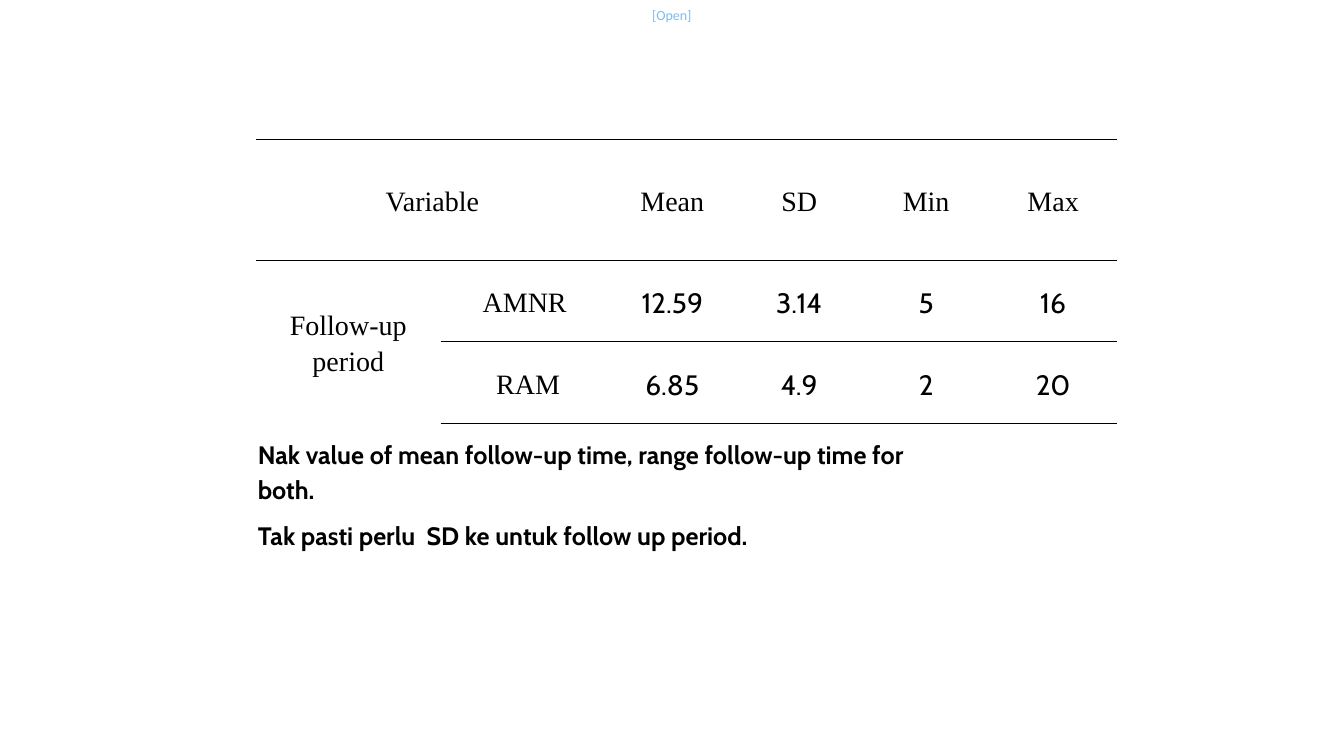
from dataclasses import dataclass

from lxml.etree import SubElement
from pptx import Presentation
from pptx.dml.color import RGBColor
from pptx.enum.text import MSO_ANCHOR, PP_ALIGN
from pptx.oxml.ns import qn
from pptx.slide import Slide
from pptx.table import Table, _Cell
from pptx.text.text import TextFrame
from pptx.util import Pt

BLACK = RGBColor(0x00, 0x00, 0x00)
WHITE = RGBColor(0xFF, 0xFF, 0xFF)
LABEL_BLUE = RGBColor(0x00, 0x78, 0xD7)
SERIF = "Times New Roman"
SANS = "Cabin"
PLAIN_TABLE_STYLE = "{2D5ABB26-0587-4C30-8999-92F81FD0307C}"

COLUMN_WIDTHS = [131.8, 120.2] + [90.7] * 4
ROW_HEIGHTS = [86.4, 58.3, 58.3]
ROWS = [
    ["Variable", "", "Mean", "SD", "Min", "Max"],
    ["Follow-up period", "AMNR", "12.59", "3.14", "5", "16"],
    ["", " RAM", "6.85", "4.9", "2", "20"],
]
ROW_BORDERS = [("a:lnT", "a:lnB"), ("a:lnT",), ("a:lnB",)]
NOTES = [
    "Nak value of mean follow-up time, range follow-up time for both.",
    "Tak pasti perlu  SD ke untuk follow up period.",
]


@dataclass(frozen=True)
class TextStyle:
    font: str
    size: float
    color: RGBColor = BLACK
    bold: bool = False
    align: PP_ALIGN = PP_ALIGN.LEFT
    line_spacing: float = 1.15
    space_after: float = 8


LABEL_STYLE = TextStyle("Calibri", 10, LABEL_BLUE, line_spacing=1, space_after=0)
HEADING_STYLE = TextStyle(SERIF, 20, align=PP_ALIGN.CENTER)
VALUE_STYLE = TextStyle(SANS, 20, align=PP_ALIGN.CENTER, space_after=0)
NOTE_STYLE = TextStyle(SANS, 18, bold=True)


def write_text(text_frame: TextFrame, text: str, style: TextStyle) -> None:
    text_frame.text = text
    for paragraph in text_frame.paragraphs:
        paragraph.alignment = style.align
        paragraph.line_spacing = style.line_spacing
        paragraph.space_after = Pt(style.space_after)
        for run in paragraph.runs:
            run.font.name = style.font
            run.font.size = Pt(style.size)
            run.font.bold = style.bold
            run.font.color.rgb = style.color


def add_border(cell: _Cell, side: str) -> None:
    properties = cell._tc.get_or_add_tcPr()
    line = SubElement(properties, qn(side), w=str(Pt(1)))
    fill = SubElement(line, qn("a:solidFill"))
    SubElement(fill, qn("a:srgbClr"), val=str(BLACK))


def format_cell(table: Table, row: int, column: int) -> None:
    cell = table.cell(row, column)
    cell.vertical_anchor = MSO_ANCHOR.MIDDLE
    cell.margin_left = cell.margin_right = Pt(5)
    cell.margin_top = cell.margin_bottom = Pt(0)
    for side in ROW_BORDERS[row]:
        add_border(cell, side)
    if row > 0 and column == 1:
        cell.fill.solid()
        cell.fill.fore_color.rgb = WHITE
    else:
        cell.fill.background()
    if not cell.is_spanned:
        style = VALUE_STYLE if row > 0 and column > 1 else HEADING_STYLE
        write_text(cell.text_frame, ROWS[row][column], style)


def add_follow_up_table(slide: Slide) -> None:
    frame = slide.shapes.add_table(
        len(ROWS), len(COLUMN_WIDTHS), Pt(182.9), Pt(99.4),
        Pt(sum(COLUMN_WIDTHS)), Pt(sum(ROW_HEIGHTS)),
    )
    table = frame.table
    table.first_row = table.horz_banding = False
    table._tbl.tblPr.find(qn("a:tableStyleId")).text = PLAIN_TABLE_STYLE
    for column, width in zip(table.columns, COLUMN_WIDTHS):
        column.width = Pt(width)
    for row, height in zip(table.rows, ROW_HEIGHTS):
        row.height = Pt(height)
    table.cell(0, 0).merge(table.cell(0, 1))
    table.cell(1, 0).merge(table.cell(2, 0))
    for row in range(len(ROWS)):
        for column in range(len(COLUMN_WIDTHS)):
            format_cell(table, row, column)


def add_open_label(slide: Slide) -> None:
    label = slide.shapes.add_textbox(Pt(465.8), Pt(5), Pt(31), Pt(12.2))
    text_frame = label.text_frame
    text_frame.margin_left = text_frame.margin_right = Pt(0)
    text_frame.margin_top = text_frame.margin_bottom = Pt(0)
    write_text(text_frame, "[Open]", LABEL_STYLE)
    for color in label._element.iter(qn("a:srgbClr")):
        SubElement(color, qn("a:alpha"), val="50000")


def add_notes(slide: Slide) -> None:
    notes = slide.shapes.add_textbox(Pt(177.1), Pt(307.4), Pt(480.2), Pt(89.3))
    notes.text_frame.word_wrap = True
    write_text(notes.text_frame, "\n".join(NOTES), NOTE_STYLE)


def main() -> None:
    presentation = Presentation()
    presentation.slide_width = Pt(960)
    presentation.slide_height = Pt(540)
    slide = presentation.slides.add_slide(presentation.slide_layouts[6])
    add_open_label(slide)
    add_follow_up_table(slide)
    add_notes(slide)
    presentation.save("out.pptx")


if __name__ == "__main__":
    main()
